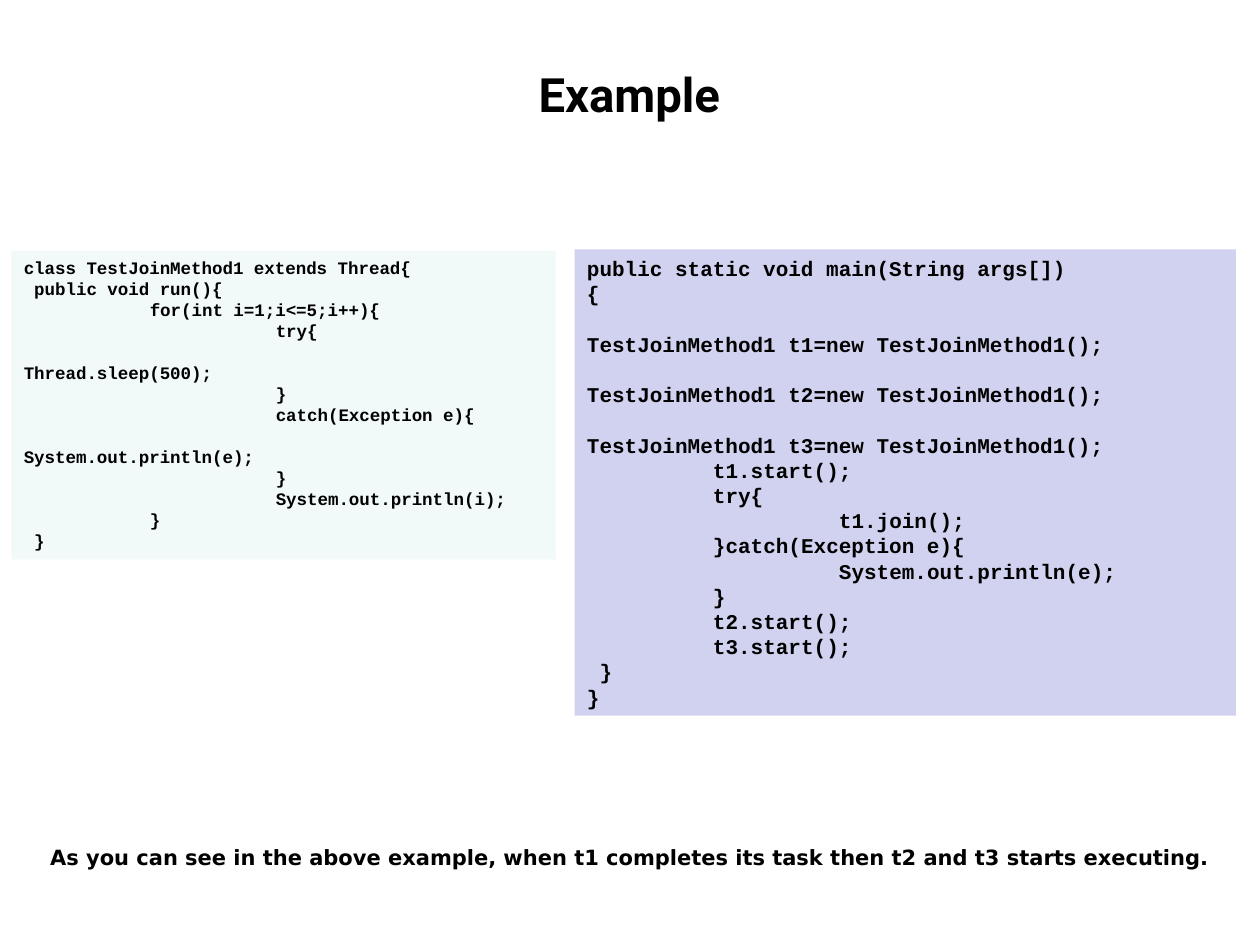
from lxml.etree import SubElement
from pptx import Presentation
from pptx.dml.color import RGBColor
from pptx.enum.shapes import MSO_SHAPE as Shape
from pptx.enum.text import MSO_ANCHOR as Anchor, PP_ALIGN as Align
from pptx.oxml.ns import qn
from pptx.util import Inches, Pt

COLORS = {"text": "000000", "thread": "F1F9F9", "main": "D1D1F0"}
HARD_SPACE = chr(160)  # keeps each code statement unbroken

THREAD_CODE = [
    "class TestJoinMethod1 extends Thread{",
    " public void run(){",
    "  \tfor(int i=1;i<=5;i++){",
    "   \t\ttry{",
    "   \t\t\tThread.sleep(500);",
    "   \t\t}",
    "\t\tcatch(Exception e){",
    "\t\t\tSystem.out.println(e);",
    "\t\t}",
    "  \t\tSystem.out.println(i);",
    "  \t}",
    " }",
]
MAIN_CODE = [
    "public static void main(String args[])",
    "{",
    " \tTestJoinMethod1 t1=new TestJoinMethod1();",
    " \tTestJoinMethod1 t2=new TestJoinMethod1();",
    " \tTestJoinMethod1 t3=new TestJoinMethod1();",
    " \tt1.start();",
    " \ttry{",
    "  \t\tt1.join();",
    " \t}catch(Exception e){",
    "\t\tSystem.out.println(e);",
    "\t}",
    "  \tt2.start();",
    " \tt3.start();",
    " }",
    "}",
]

presentation = Presentation()
presentation.slide_width = Inches(10)
presentation.slide_height = Inches(7.5)
slide = presentation.slides.add_slide(presentation.slide_layouts[6])


def add_tab_stops(paragraph):
    """Set a left tab stop at every inch."""
    tab_list = SubElement(paragraph._p.get_or_add_pPr(), qn("a:tabLst"))
    for inch in range(8):
        SubElement(tab_list, qn("a:tab"), pos=str(Inches(inch)), algn="l")


def write_lines(shape, lines, font_name, size, align=Align.LEFT, anchor=Anchor.TOP):
    frame = shape.text_frame
    frame.word_wrap = True
    frame.vertical_anchor = anchor
    for index, line in enumerate(lines):
        paragraph = frame.add_paragraph() if index else frame.paragraphs[0]
        add_tab_stops(paragraph)
        paragraph.alignment = align
        run = paragraph.add_run()
        run.text = line
        run.font.name = font_name
        run.font.size = Pt(size)
        run.font.bold = True
        run.font.color.rgb = RGBColor.from_string(COLORS["text"])


# Title
title = slide.shapes.add_textbox(Inches(0.68), Inches(0.59), Inches(8.63), Inches(0.3))
write_lines(title, ["Example"], "Roboto", 27, Align.CENTER, Anchor.MIDDLE)

# Code panels
panels = [
    ("thread", THREAD_CODE, 10, (0.09, 1.99, 4.32, 2.45)),
    ("main", MAIN_CODE, 12, (4.56, 1.98, 5.25, 3.7)),
]
for color, code, size, box in panels:
    panel = slide.shapes.add_shape(Shape.RECTANGLE, *map(Inches, box))
    panel.shadow.inherit = False
    panel.fill.solid()
    panel.fill.fore_color.rgb = RGBColor.from_string(COLORS[color])
    panel.line.fill.background()
    lines = [line.replace(" ", HARD_SPACE) for line in code]
    write_lines(panel, lines, "Courier New", size)

# Closing remark
remark = slide.shapes.add_textbox(Inches(0.3), Inches(6.65), Inches(9.5), Inches(0.3))
write_lines(
    remark,
    ["As you can see in the above example, when t1 completes its task then t2 and t3 starts executing."],
    "DejaVu Sans",
    12,
)

presentation.save("out.pptx")
